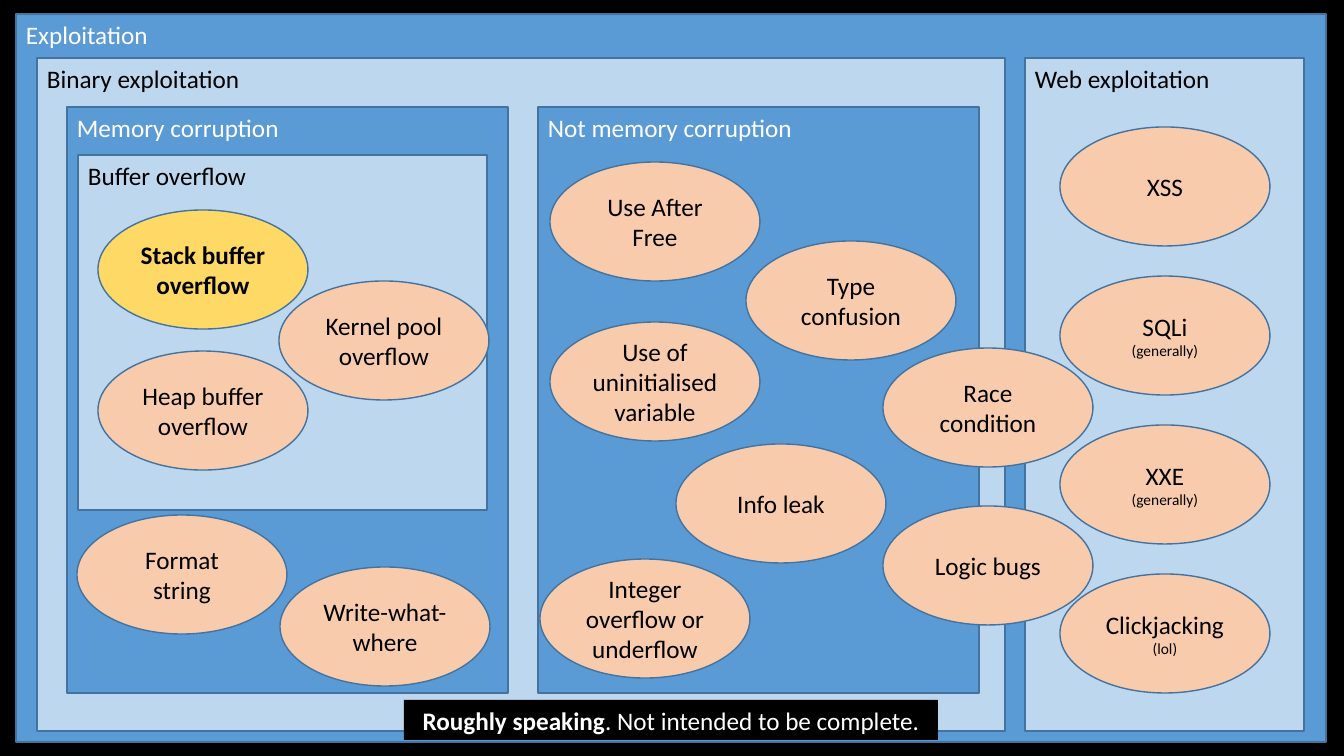
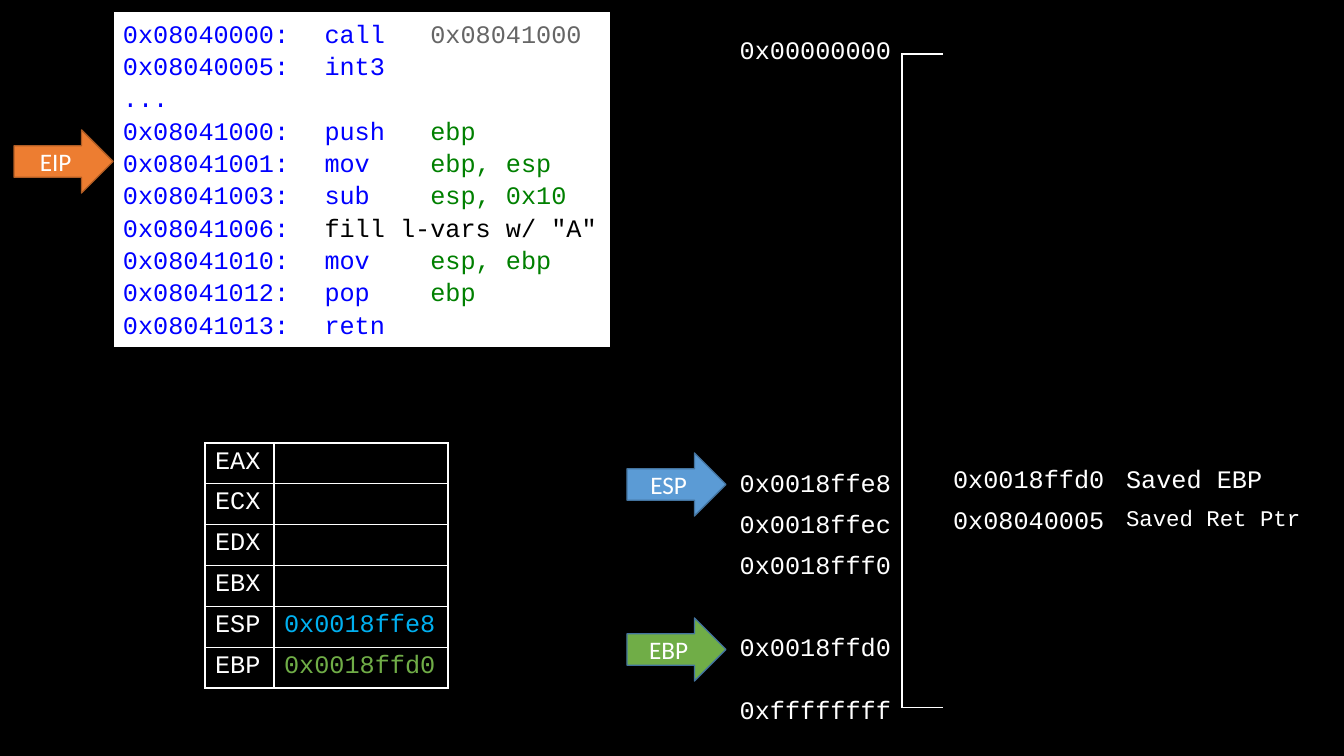
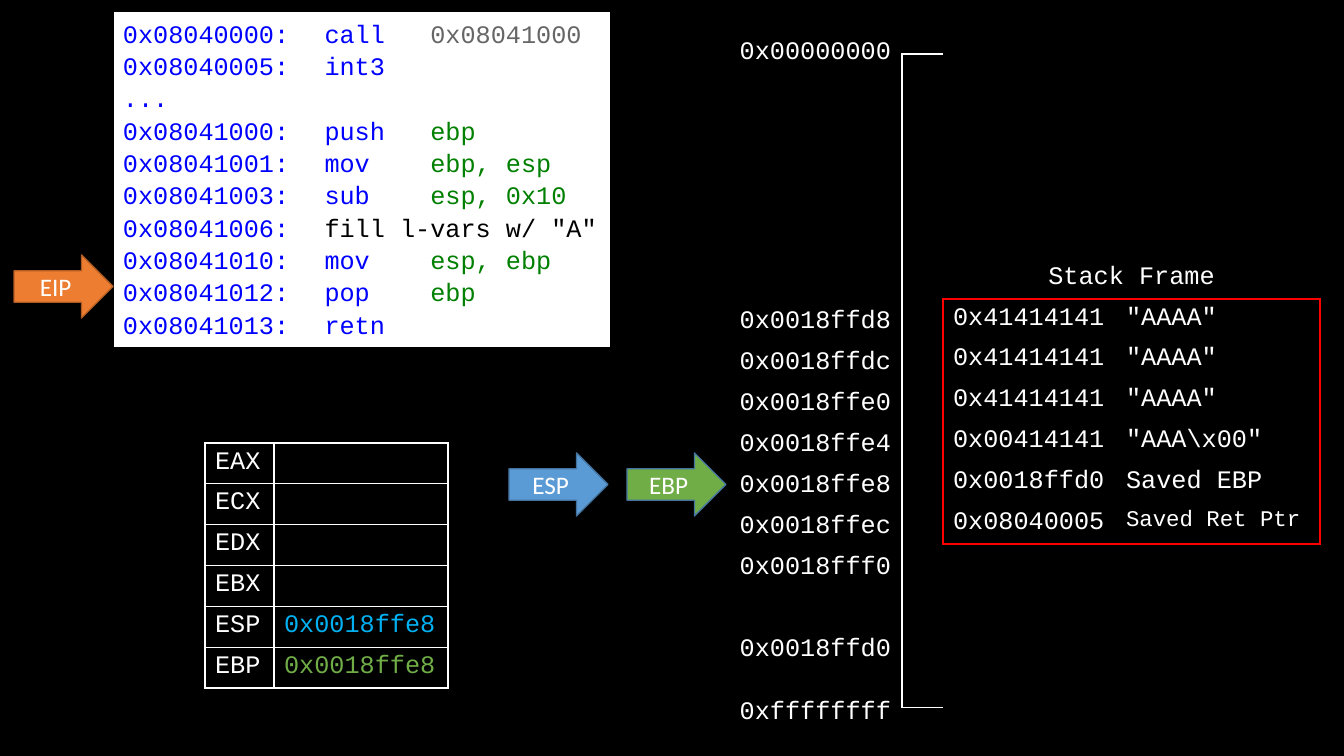
from lxml import etree
from pptx import Presentation
from pptx.dml.color import RGBColor
from pptx.enum.shapes import MSO_SHAPE
from pptx.enum.text import MSO_ANCHOR, PP_ALIGN
from pptx.oxml.ns import qn
from pptx.util import Emu, Pt

RECTANGLE, ELLIPSE, ARROW = MSO_SHAPE.RECTANGLE, MSO_SHAPE.OVAL, MSO_SHAPE.RIGHT_ARROW
LEFT, CENTER, RIGHT = PP_ALIGN.LEFT, PP_ALIGN.CENTER, PP_ALIGN.RIGHT
TOP, MIDDLE = MSO_ANCHOR.TOP, MSO_ANCHOR.MIDDLE

EMU_PER_PX = 12192000 / 1344
SANS, MONO = "Calibri", "Courier New"
BLACK, WHITE, RED = "000000", "FFFFFF", "FF0000"
BLUE, PALE_BLUE, OUTLINE = "5B9BD5", "BDD7EE", "43739E"
PEACH, YELLOW, ORANGE, GREEN = "F8CBAD", "FFD966", "ED7D31", "70AD47"
CODE_BLUE, CODE_GREEN, CODE_GREY = "0000FF", "008000", "666666"
PLAIN_TABLE_STYLE = "{2D5ABB26-0587-4C30-8999-92F81FD0307C}"

# Map of exploitation: title, place, fill, text colour
PANELS = [
    ("Exploitation", (16, 14, 1310, 728), BLUE, WHITE),
    ("Binary exploitation", (37, 58, 968, 673), PALE_BLUE, BLACK),
    ("Web exploitation", (1025, 58, 279, 673), PALE_BLUE, BLACK),
    ("Memory corruption", (67, 107, 441, 586), BLUE, WHITE),
    ("Not memory corruption", (538, 107, 441, 586), BLUE, WHITE),
    ("Buffer overflow", (78, 155, 409, 355), PALE_BLUE, BLACK),
]
BUG_WIDTH, BUG_HEIGHT = 210, 119
WEB_LEFT, WEB_TOP, WEB_STEP = 1060, 127, 149
WEB_BUGS = ["XSS", "SQLi\n(generally)", "XXE\n(generally)", "Clickjacking\n(lol)"]
HIGHLIGHT = "Stack buffer overflow"
BINARY_BUGS = [
    ("Use After Free", 550, 162),
    ("Type confusion", 746, 241),
    (HIGHLIGHT, 98, 210),
    ("Heap buffer overflow", 98, 351),
    ("Use of uninitialised variable", 550, 322),
    ("Format string", 77, 515),
    ("Logic bugs", 883, 506),
    ("Integer overflow or underflow", 540, 559),
    ("Info leak", 676, 444),
    ("Write-what-where", 280, 567),
    ("Race condition", 883, 348),
    ("Kernel pool overflow", 279, 281),
]
CAPTION = [("Roughly speaking", True), (". Not intended to be complete.", False)]

# Stack walk-through: each code line is a list of (text, colour)
CODE = [
    [("0x08040000:\tcall   ", CODE_BLUE), ("0x08041000", CODE_GREY)],
    [("0x08040005:\tint3", CODE_BLUE)],
    [("...", CODE_BLUE)],
    [("0x08041000:\tpush   ", CODE_BLUE), ("ebp", CODE_GREEN)],
    [("0x08041001:\tmov    ", CODE_BLUE), ("ebp, esp", CODE_GREEN)],
    [("0x08041003:\tsub    ", CODE_BLUE), ("esp, 0x10", CODE_GREEN)],
    [("0x08041006:\t", CODE_BLUE), ('fill l-vars w/ "A"', BLACK)],
    [("0x08041010:\tmov    ", CODE_BLUE), ("esp, ebp", CODE_GREEN)],
    [("0x08041012:\tpop    ", CODE_BLUE), ("ebp", CODE_GREEN)],
    [("0x08041013:\tretn", CODE_BLUE)],
]
STACK_ROWS, STACK_HEIGHT = 16, 654
ROW = STACK_HEIGHT / STACK_ROWS
ADDRESS_HEIGHTS = [41, 32, 32] + [41] * 13 + [22, 41]
REGISTERS = ["EAX", "ECX", "EDX", "EBX", "ESP", "EBP"]
REGISTER_COLORS = {"ESP": "00B0F0", "EBP": GREEN}
ARROW_STYLES = {"EIP": (ORANGE, "AF5C24"), "ESP": (BLUE, OUTLINE), "EBP": (GREEN, OUTLINE)}

# Tables are keyed by row number
BASE_ADDRESSES = {0: "0x00000000", 11: "0x0018ffe8", 12: "0x0018ffec",
                  13: "0x0018fff0", 15: "0x0018ffd0", 17: "0xffffffff"}
BASE_STACK = {10: ("0x0018ffd0", "Saved EBP"), 11: ("0x08040005", "Saved Ret Ptr")}
FRAME_TITLE_ROW, FRAME_FIRST, FRAME_LAST = 5, 6, 11
STEPS = [
    {"addresses": BASE_ADDRESSES,
     "stack": BASE_STACK,
     "registers": {"ESP": "0x0018ffe8", "EBP": "0x0018ffd0"},
     "arrows": {"EIP": (14, 130), "ESP": (627, 453), "EBP": (627, 618)},
     "frame": None},
    {"addresses": {**BASE_ADDRESSES, 7: "0x0018ffd8", 8: "0x0018ffdc",
                   9: "0x0018ffe0", 10: "0x0018ffe4"},
     "stack": {**BASE_STACK, 6: ("0x41414141", '"AAAA"'), 7: ("0x41414141", '"AAAA"'),
               8: ("0x41414141", '"AAAA"'), 9: ("0x00414141", '"AAA\\x00"')},
     "registers": {"ESP": "0x0018ffe8", "EBP": "0x0018ffe8"},
     "arrows": {"EIP": (14, 255), "EBP": (627, 453), "ESP": (509, 453)},
     "frame": "Stack Frame"},
]


def px(value):
    return Emu(round(value * EMU_PER_PX))


def rgb(color):
    return RGBColor.from_string(color)


def format_run(run, color, font=SANS, size=18, bold=False):
    run.font.name, run.font.size, run.font.bold = font, Pt(size), bold
    run.font.color.rgb = rgb(color)


def add_box(slide, kind, place, fill, line=None, anchor=MIDDLE):
    shape = slide.shapes.add_shape(kind, *map(px, place))
    shape.shadow.inherit = False
    shape.fill.solid()
    shape.fill.fore_color.rgb = rgb(fill)
    if line:
        shape.line.color.rgb = rgb(line)
        shape.line.width = Pt(1)
    else:
        shape.line.fill.background()
    shape.text_frame.word_wrap = True
    shape.text_frame.vertical_anchor = anchor
    return shape


def write_label(shape, text, color, align=CENTER):
    """Fill a shape with text; lines after the first are small print."""
    shape.text_frame.text = text
    for index, paragraph in enumerate(shape.text_frame.paragraphs):
        paragraph.alignment = align
        format_run(paragraph.runs[0], color, size=11 if index else 18)


def write_runs(paragraph, runs):
    """Add (text, format options) pairs to a paragraph."""
    for text, options in runs:
        run = paragraph.add_run()
        run.text = text
        format_run(run, **options)


def add_plain_table(slide, left, top, widths, heights):
    frame = slide.shapes.add_table(len(heights), len(widths), px(left), px(top),
                                   px(sum(widths)), px(sum(heights)))
    table = frame.table
    table.first_row = table.horz_banding = False
    table._tbl.tblPr.find(qn("a:tableStyleId")).text = PLAIN_TABLE_STYLE
    for column, width in zip(table.columns, widths):
        column.width = px(width)
    for row, height in zip(table.rows, heights):
        row.height = px(height)
    for cell in table.iter_cells():
        cell.fill.background()
        # Tiny end marks keep empty rows from growing
        paragraph = cell.text_frame.paragraphs[0]._p
        etree.SubElement(paragraph, qn("a:endParaRPr"), sz="400")
    return table


def write_cell(cell, text, color=WHITE, size=18, align=LEFT, anchor=TOP):
    cell.vertical_anchor = anchor
    paragraph = cell.text_frame.paragraphs[0]
    paragraph.text = text
    paragraph.alignment = align
    format_run(paragraph.runs[0], color, MONO, size)


def set_borders(cell, sides):
    """Draw 1 pt borders on the sides (L, R, T, B) given a colour, none on the rest."""
    properties = cell._tc.get_or_add_tcPr()
    for index, side in enumerate("LRTB"):
        line = etree.Element(qn(f"a:ln{side}"), w=str(Pt(1)))
        if side in sides:
            fill = etree.SubElement(line, qn("a:solidFill"))
            etree.SubElement(fill, qn("a:srgbClr"), val=sides[side])
        else:
            etree.SubElement(line, qn("a:noFill"))
        properties.insert(index, line)


def stack_borders(row, column, framed):
    """White bracket on the left, red outline around the stack frame."""
    sides = {}
    in_frame = framed and FRAME_FIRST <= row <= FRAME_LAST
    if column == 0:
        sides["L"] = WHITE
        if row == 0:
            sides["T"] = WHITE
        if row == STACK_ROWS - 1:
            sides["B"] = WHITE
        if in_frame:
            sides["R"] = RED
    elif framed:
        if in_frame:
            sides["L" if column == 1 else "R"] = RED
        if row in (FRAME_FIRST, FRAME_LAST + 1):
            sides["T"] = RED
        if row in (FRAME_TITLE_ROW, FRAME_LAST):
            sides["B"] = RED
    return sides


def add_stack(slide, entries, frame_title):
    table = add_plain_table(slide, 902, 54, [41, 173, 204], [ROW] * STACK_ROWS)
    for row in range(STACK_ROWS):
        for column in range(3):
            set_borders(table.cell(row, column),
                        stack_borders(row, column, bool(frame_title)))
    for row, (value, meaning) in entries.items():
        write_cell(table.cell(row, 1), value)
        write_cell(table.cell(row, 2), meaning, size=16 if len(meaning) > 10 else 18)
    if frame_title:
        title = table.cell(FRAME_TITLE_ROW, 1)
        title.merge(table.cell(FRAME_TITLE_ROW, 2))
        write_cell(title, frame_title, align=CENTER)


def add_addresses(slide, addresses):
    table = add_plain_table(slide, 726, 32, [175], ADDRESS_HEIGHTS)
    for row, address in addresses.items():
        write_cell(table.cell(row, 0), address, align=RIGHT, anchor=MIDDLE)


def add_registers(slide, values):
    table = add_plain_table(slide, 205, 443, [69, 174], [ROW] * len(REGISTERS))
    for cell in table.iter_cells():
        set_borders(cell, dict.fromkeys("LRTB", WHITE))
    for row, name in enumerate(REGISTERS):
        write_cell(table.cell(row, 0), name)
        if name in values:
            write_cell(table.cell(row, 1), values[name], REGISTER_COLORS[name])


def add_code(slide):
    frame = add_box(slide, RECTANGLE, (113, 11, 498, 337), WHITE, BLACK, TOP).text_frame
    for index, line in enumerate(CODE):
        paragraph = frame.add_paragraph() if index else frame.paragraphs[0]
        paragraph.alignment = LEFT
        paragraph.line_spacing = 1.07
        write_runs(paragraph, [(text, {"color": color, "font": MONO})
                               for text, color in line])


def build_map(slide):
    for title, place, fill, color in PANELS:
        panel = add_box(slide, RECTANGLE, place, fill, OUTLINE, TOP)
        write_label(panel, title, color, LEFT)
    web_bugs = [(text, WEB_LEFT, WEB_TOP + index * WEB_STEP)
                for index, text in enumerate(WEB_BUGS)]
    for text, left, top in web_bugs + BINARY_BUGS:
        highlighted = text == HIGHLIGHT
        bug = add_box(slide, ELLIPSE, (left, top, BUG_WIDTH, BUG_HEIGHT),
                      YELLOW if highlighted else PEACH, OUTLINE)
        write_label(bug, text, BLACK)
        if highlighted:
            bug.text_frame.paragraphs[0].runs[0].font.bold = True
    caption = add_box(slide, RECTANGLE, (404, 700, 534, 40), BLACK, anchor=TOP)
    paragraph = caption.text_frame.paragraphs[0]
    paragraph.alignment = CENTER
    write_runs(paragraph, [(text, {"color": WHITE, "bold": bold}) for text, bold in CAPTION])


def build_step(slide, step):
    add_stack(slide, step["stack"], step["frame"])
    add_addresses(slide, step["addresses"])
    add_registers(slide, step["registers"])
    add_code(slide)
    for name, (left, top) in step["arrows"].items():
        arrow = add_box(slide, ARROW, (left, top, 99, 63), *ARROW_STYLES[name])
        write_label(arrow, name, WHITE)


def main():
    presentation = Presentation()
    presentation.slide_width, presentation.slide_height = px(1344), px(756)
    background = presentation.slide_master.background.fill
    background.solid()
    background.fore_color.rgb = rgb(BLACK)
    blank = presentation.slide_layouts[6]
    build_map(presentation.slides.add_slide(blank))
    for step in STEPS:
        build_step(presentation.slides.add_slide(blank), step)
    presentation.save("out.pptx")


if __name__ == "__main__":
    main()
